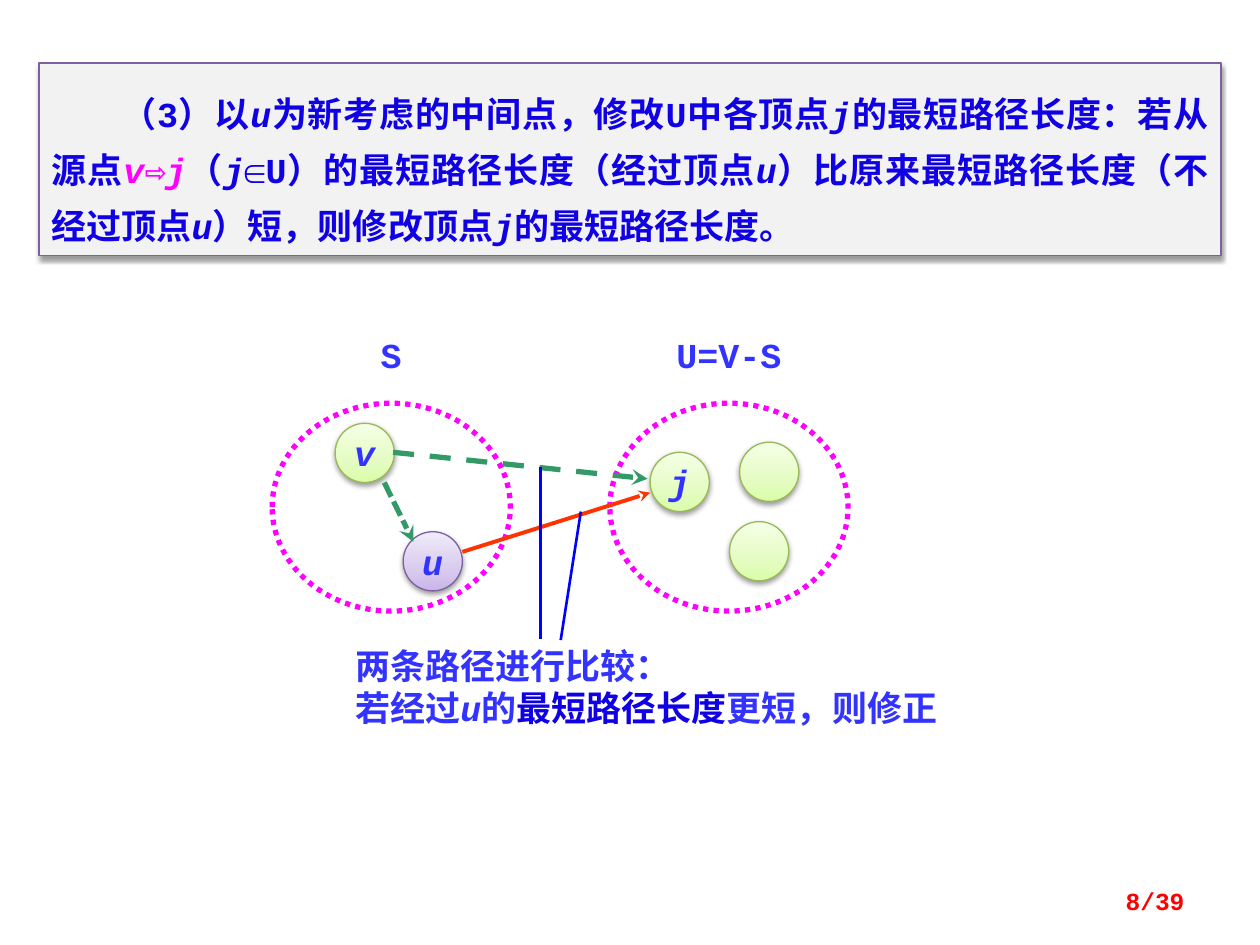
from dataclasses import dataclass

from lxml import etree
from pptx import Presentation, util as u
from pptx.dml.color import RGBColor
from pptx.enum import dml, shapes, text
from pptx.oxml import parse_xml
from pptx.oxml.ns import nsdecls, qn


@dataclass(frozen=True)
class Theme:
    font: str = "Courier New"
    body: int = 20
    footer: int = 14
    panel: str = "F2F2F2"
    ink: str = "1000E4"
    label: str = "3333FF"
    magenta: str = "FF00FF"
    old_path: str = "339966"
    new_path: str = "FF3300"
    pointer: str = "0000FF"
    page: str = "FF0000"
    purple_line: str = "7D60A0"
    green_line: str = "98B955"
    purple: tuple = ("C9B5E8", "D8CBEE", "F0EAF9")
    green: tuple = ("DAFDA7", "E4FCC2", "F5FFE7")


THEME = Theme()
NODE = 0.47
DASH = dml.MSO_LINE


def rgb(value):
    return RGBColor.from_string(value)


def apply(target, values):
    for name, value in values.items():
        setattr(target, name, value)


def write(paragraph, parts, size=THEME.body):
    """Add (wording, colour) parts; asterisks enclose italic letters."""
    for wording, colour in parts:
        for index, piece in enumerate(wording.split("*")):
            if piece:
                run = paragraph.add_run()
                run.text = piece
                apply(run.font, dict(name=THEME.font, size=u.Pt(size),
                                     bold=True, italic=index % 2 == 1))
                run.font.color.rgb = rgb(colour)


def set_line(item, colour, width, dash=None):
    item.line.color.rgb = rgb(colour)
    apply(item.line, dict(width=u.Pt(width), dash_style=dash))


def add_shadow(shape):
    shape.shadow.inherit = False
    effects = shape._element.spPr.find(qn("a:effectLst"))
    effects.append(parse_xml(
        f'<a:outerShdw {nsdecls("a")} blurRad="{u.Pt(3.1)}" dist="{u.Pt(1.6)}" '
        'dir="5400000" rotWithShape="0"><a:srgbClr val="000000">'
        '<a:alpha val="38000"/></a:srgbClr></a:outerShdw>'))


def fill_gradient(shape, colours):
    """Run three colours from the bottom of the shape to its top."""
    shape.fill.gradient()
    gradient = shape._element.spPr.find(qn("a:gradFill"))
    stops = "".join(f'<a:gs pos="{place}"><a:srgbClr val="{colour}"/></a:gs>'
                    for place, colour in zip((0, 35000, 100000), colours))
    gradient.getparent().replace(gradient, parse_xml(
        f'<a:gradFill {nsdecls("a")} rotWithShape="1"><a:gsLst>{stops}</a:gsLst>'
        '<a:lin ang="16200000" scaled="0"/></a:gradFill>'))


def add_textbox(slide, box, anchor=text.MSO_ANCHOR.TOP, margin=None):
    frame = slide.shapes.add_textbox(*map(u.Inches, box)).text_frame
    apply(frame, dict(word_wrap=True, vertical_anchor=anchor))
    if margin is not None:
        apply(frame, {f"margin_{side}": u.Inches(margin)
                      for side in ("left", "top", "right", "bottom")})
    return frame


def add_step_panel(slide, box):
    panel = slide.shapes.add_shape(shapes.MSO_SHAPE.RECTANGLE, *map(u.Inches, box))
    panel.fill.solid()
    panel.fill.fore_color.rgb = rgb(THEME.panel)
    set_line(panel, THEME.purple_line, 0.75)
    add_shadow(panel)
    apply(panel.text_frame, dict(
        word_wrap=True, vertical_anchor=text.MSO_ANCHOR.TOP,
        margin_left=u.Inches(0.1), margin_right=u.Inches(0.1),
        margin_top=u.Inches(0.12), margin_bottom=u.Inches(0.12)))
    step = panel.text_frame.paragraphs[0]
    apply(step, dict(alignment=text.PP_ALIGN.JUSTIFY, line_spacing=u.Pt(32)))
    step._p.get_or_add_pPr().set("indent", str(u.Pt(2 * THEME.body)))
    write(step, [
        ("（3）以*u*为新考虑的中间点，修改U中各顶点*j*的最短路径长度：若从源点", THEME.ink),
        ("*v*⇨*j*", THEME.magenta),
        ("（*j*∈U）的最短路径长度（经过顶点*u*）比原来最短路径长度"
         "（不经过顶点*u*）短，则修改顶点*j*的最短路径长度。", THEME.ink)])


def add_set(slide, left, top, name, name_width):
    """Draw a dotted vertex set with its name centred above it."""
    width, height = 1.89, 1.65
    outline = slide.shapes.add_shape(
        shapes.MSO_SHAPE.OVAL, *map(u.Inches, (left, top, width, height)))
    outline.fill.background()
    outline.shadow.inherit = False
    set_line(outline, THEME.magenta, 3, DASH.ROUND_DOT)
    centre = left + width / 2
    frame = add_textbox(slide, (centre - name_width / 2, top - 0.55, name_width, 0.34),
                        margin=0)
    frame.paragraphs[0].alignment = text.PP_ALIGN.CENTER
    write(frame.paragraphs[0], [(name, THEME.label)])


def add_vertex(slide, left, top, name, colours, line_colour):
    vertex = slide.shapes.add_shape(
        shapes.MSO_SHAPE.OVAL, *map(u.Inches, (left, top, NODE, NODE)))
    fill_gradient(vertex, colours)
    set_line(vertex, line_colour, 0.75)
    add_shadow(vertex)
    if name:
        apply(vertex.text_frame, dict(word_wrap=False,
                                      vertical_anchor=text.MSO_ANCHOR.MIDDLE))
        label = vertex.text_frame.paragraphs[0]
        label.alignment = text.PP_ALIGN.CENTER
        write(label, [(f"*{name}*", THEME.label)])


def add_line(slide, ends, colour, width, dash=None, arrow=False):
    line = slide.shapes.add_connector(shapes.MSO_CONNECTOR.STRAIGHT,
                                      *map(u.Inches, ends))
    set_line(line, colour, width, dash)
    if arrow:
        etree.SubElement(line.line._get_or_add_ln(), qn("a:tailEnd"), type="stealth")
    etree.SubElement(line._element.spPr, qn("a:effectLst"))


def add_path_diagram(slide, left, top):
    """Draw sets S and U with the two paths to j; left and top are those of S."""
    add_set(slide, left, top, "S", 0.63)
    add_set(slide, left + 2.68, top, "U=V-S", 1.1)
    green = (THEME.green, THEME.green_line)
    purple = (THEME.purple, THEME.purple_line)
    for x, y, name, colours in [(0.5, 0.16, "v", green), (1.04, 1.02, "u", purple),
                                (3.63, 0.94, "", green), (3, 0.39, "j", green),
                                (3.71, 0.31, "", green)]:
        add_vertex(slide, left + x, top + y, name, *colours)
    for ends, *look in [
            ((1.51, 1.18, 3, 0.71), THEME.new_path, 2.25, None, True),
            ((0.96, 0.39, 2.98, 0.6), THEME.old_path, 3, DASH.DASH, True),
            ((0.89, 0.63, 1.12, 1.1), THEME.old_path, 3, DASH.SQUARE_DOT, True),
            ((2.13, 0.51, 2.13, 1.87), THEME.pointer, 1.5),
            ((2.45, 0.86, 2.29, 1.88), THEME.pointer, 1.5)]:
        x1, y1, x2, y2 = ends
        add_line(slide, (left + x1, top + y1, left + x2, top + y2), *look)


def add_comparison_note(slide, box):
    frame = add_textbox(slide, box)
    first, second = frame.paragraphs[0], frame.add_paragraph()
    for paragraph in (first, second):
        paragraph.line_spacing = 0.7
    second.space_before = u.Pt(7)
    write(first, [("两条路径进行比较：", THEME.label)])
    write(second, [("若经过*u*的", THEME.label), ("最短路径长度", THEME.ink),
                   ("更短，则修正", THEME.label)])


def add_page_number(slide, box):
    page = add_textbox(slide, box, text.MSO_ANCHOR.MIDDLE).paragraphs[0]
    page.alignment = text.PP_ALIGN.RIGHT
    write(page, [("8/39", THEME.page)], THEME.footer)


def main():
    deck = Presentation()
    apply(deck, dict(slide_width=u.Inches(10), slide_height=u.Inches(7.5)))
    slide = deck.slides.add_slide(deck.slide_layouts[6])
    add_step_panel(slide, (0.31, 0.5, 9.38, 1.53))
    add_path_diagram(slide, 2.16, 3.2)
    add_comparison_note(slide, (2.72, 5.16, 5.02, 0.75))
    add_page_number(slide, (7.17, 6.95, 2.33, 0.4))
    deck.save("out.pptx")


if __name__ == "__main__":
    main()
